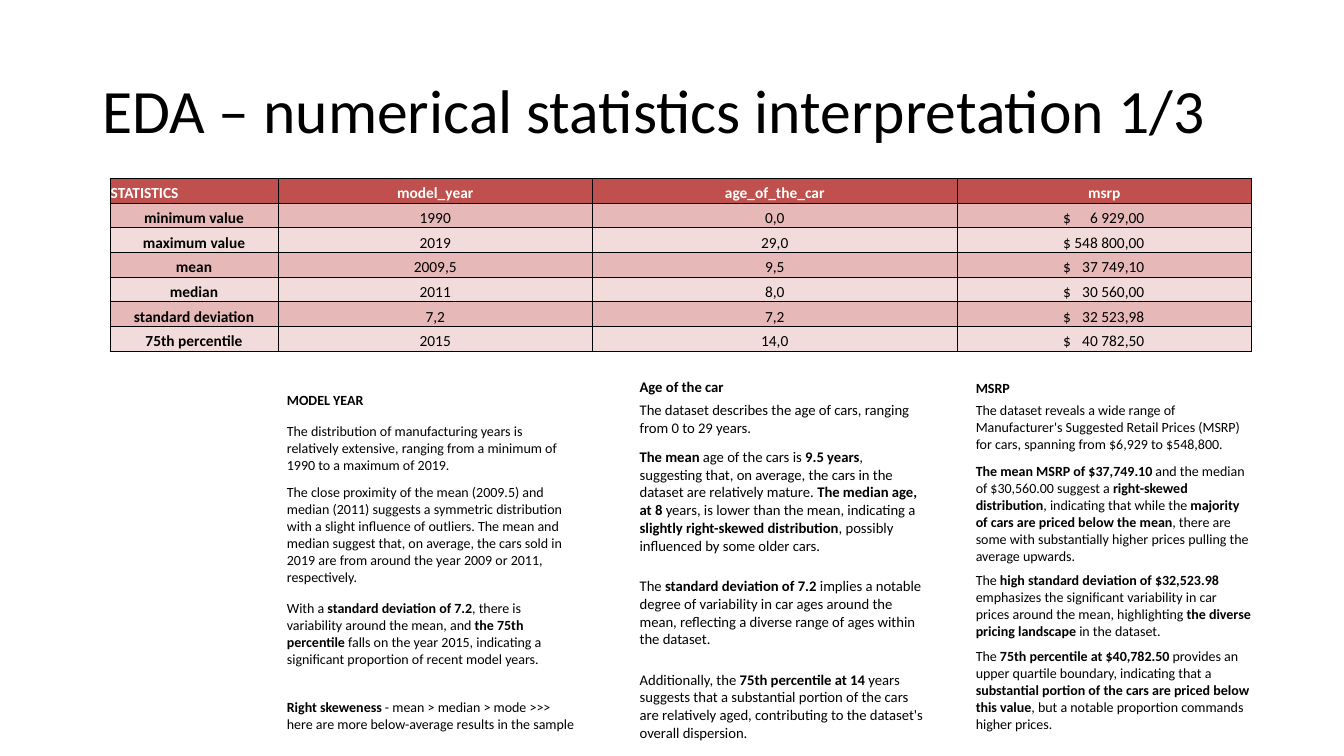
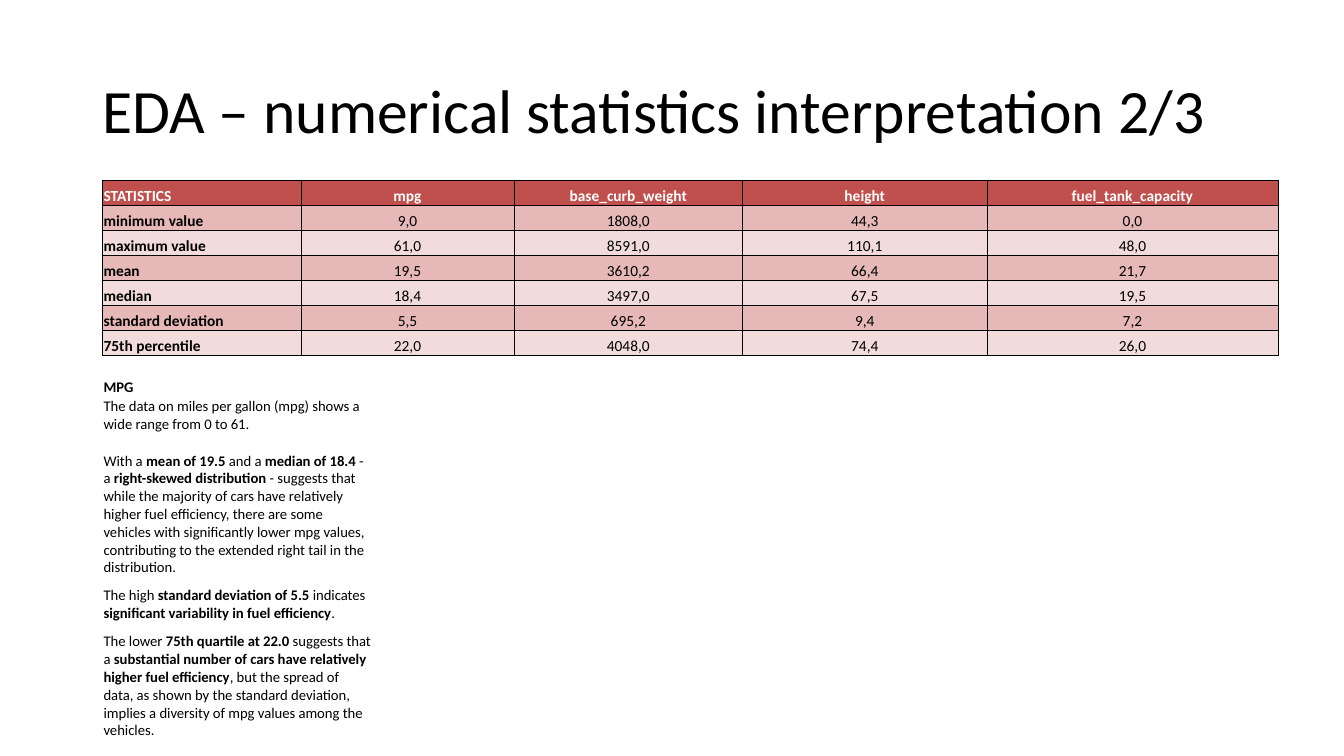
from dataclasses import dataclass

from lxml.etree import SubElement
from pptx import Presentation
from pptx.dml.color import RGBColor
from pptx.enum.text import MSO_ANCHOR, PP_ALIGN
from pptx.oxml.ns import qn
from pptx.slide import Slide
from pptx.table import Table, _Cell
from pptx.text.text import _Paragraph
from pptx.util import Cm, Pt

FONT = "Calibri"
BLACK, WHITE = "000000", "FFFFFF"
HEADER_FILL = "C0504D"
BAND_FILLS = ("F2DCDB", "E6B8B7")
PLAIN_TABLE_STYLE = "{2D5ABB26-0587-4C30-8999-92F81FD0307C}"
LABELS = ("minimum value", "maximum value", "mean", "median",
          "standard deviation", "75th percentile")
CELL_INSET = 0.02
CURRENCY_INSET, CURRENCY_WIDTH = 2.67, 2.05


@dataclass(frozen=True)
class Statistics:
    left: float
    top: float
    row_height: float
    label_align: PP_ALIGN
    label_width: float
    widths: tuple[float, ...]
    columns: dict[str, tuple[str, ...]]


@dataclass(frozen=True)
class Commentary:
    left: float
    top: float
    width: float
    size: float
    row_heights: tuple[float, ...]
    texts: tuple[str, ...]
    inset: float = CELL_INSET


@dataclass(frozen=True)
class Page:
    title: str
    statistics: Statistics
    commentaries: tuple[Commentary, ...]


PAGES = (
    Page(
        "EDA – numerical statistics interpretation 1/3",
        Statistics(
            2.77, 4.5, 0.62, PP_ALIGN.CENTER, 4.24, (7.92, 9.19, 7.42),
            {
                "model_year": ("1990", "2019", "2009,5", "2011", "7,2", "2015"),
                "age_of_the_car": ("0,0", "29,0", "9,5", "8,0", "7,2", "14,0"),
                "msrp": ("$ 6 929,00", "$ 548 800,00", "$ 37 749,10",
                         "$ 30 560,00", "$ 32 523,98", "$ 40 782,50"),
            },
        ),
        (
            Commentary(
                7.21, 9.73, 7.32, 10, (0.58, 1.63, 2.84, 2.06, 1.63),
                (
                    "**MODEL YEAR**",
                    "The distribution of manufacturing years is relatively extensive, "
                    "ranging from a minimum of 1990 to a maximum of 2019.",
                    "The close proximity of the mean (2009.5) and median (2011) suggests "
                    "a symmetric distribution with a slight influence of outliers. The "
                    "mean and median suggest that, on average, the cars sold in 2019 are "
                    "from around the year 2009 or 2011, respectively.",
                    "With a **standard deviation of 7.2**, there is variability around "
                    "the mean, and **the 75th percentile** falls on the year 2015, "
                    "indicating a significant proportion of recent model years.",
                    "**Right skeweness** - mean > median > mode >>> here are more "
                    "below-average results in the sample",
                ),
            ),
            Commentary(
                16.1, 9.47, 7.32, 10.5, (0.51, 1.04, 2.97, 2.36, 2.36),
                (
                    "**Age of the car**",
                    "The dataset describes the age of cars, ranging from 0 to 29 years.",
                    "**The mean** age of the cars is **9.5 years**, suggesting that, on "
                    "average, the cars in the dataset are relatively mature.** The median "
                    "age, at 8** years, is lower than the mean, indicating a **slightly "
                    "right-skewed distribution**, possibly influenced by some older cars.",
                    "The **standard deviation of 7.2** implies a notable degree of "
                    "variability in car ages around the mean, reflecting a diverse range "
                    "of ages within the dataset.",
                    "Additionally, the **75th percentile at 14** years suggests that a "
                    "substantial portion of the cars are relatively aged, contributing "
                    "to the dataset's overall dispersion.",
                ),
            ),
            Commentary(
                24.59, 9.53, 6.96, 10, (0.48, 1.42, 2.82, 1.88, 2.34),
                (
                    "**MSRP**",
                    "The dataset reveals a wide range of Manufacturer's Suggested Retail "
                    "Prices (MSRP) for cars, spanning from $6,929 to $548,800.",
                    "**The mean MSRP of $37,749.10 **and the median of $30,560.00 suggest "
                    "a **right-skewed distribution**, indicating that while the "
                    "**majority of cars are priced below the mean**, there are some with "
                    "substantially higher prices pulling the average upwards.",
                    "The **high standard deviation of $32,523.98** emphasizes the "
                    "significant variability in car prices around the mean, highlighting "
                    "**the diverse pricing landscape** in the dataset.",
                    "The **75th percentile at $40,782.50** provides an upper quartile "
                    "boundary, indicating that a **substantial portion of the cars are "
                    "priced below this value**, but a notable proportion commands higher "
                    "prices.",
                ),
                inset=0,
            ),
        ),
    ),
    Page(
        "EDA – numerical statistics interpretation 2/3",
        Statistics(
            2.59, 4.55, 0.63, PP_ALIGN.LEFT, 5.0, (5.36, 5.77, 6.15, 7.34),
            {
                "mpg": ("9,0", "61,0", "19,5", "18,4", "5,5", "22,0"),
                "base_curb_weight": ("1808,0", "8591,0", "3610,2", "3497,0",
                                     "695,2", "4048,0"),
                "height": ("44,3", "110,1", "66,4", "67,5", "9,4", "74,4"),
                "fuel_tank_capacity": ("0,0", "48,0", "21,7", "19,5", "7,2", "26,0"),
            },
        ),
        (
            Commentary(
                2.59, 9.53, 6.81, 10.5, (0.45, 0.91, 3.63, 1.14, 2.97),
                (
                    "**MPG**",
                    "The data on miles per gallon (mpg) shows a wide range from 0 to 61.",
                    "With a** mean of 19.5** and a **median of 18.4** - a **right-skewed "
                    "distribution** - suggests that while the majority of cars have "
                    "relatively higher fuel efficiency, there are some vehicles with "
                    "significantly lower mpg values, contributing to the extended right "
                    "tail in the distribution.",
                    "The high **standard deviation of 5.5** indicates **significant "
                    "variability in fuel efficiency**.",
                    "The lower **75th quartile at 22.0** suggests that a **substantial "
                    "number of cars have relatively higher fuel efficiency**, but the "
                    "spread of data, as shown by the standard deviation, implies a "
                    "diversity of mpg values among the vehicles.",
                ),
            ),
        ),
    ),
)


def color(value: str) -> RGBColor:
    return RGBColor.from_string(value)


def add_run(paragraph: _Paragraph, text: str, size: float,
            text_color: str = BLACK, bold: bool = False) -> None:
    run = paragraph.add_run()
    run.text = text
    run.font.name = FONT
    run.font.size = Pt(size)
    run.font.bold = bold
    run.font.color.rgb = color(text_color)


def add_title(slide: Slide, text: str) -> None:
    frame = slide.shapes.add_textbox(Cm(2.33), Cm(1.02), Cm(29.21), Cm(3.68)).text_frame
    frame.word_wrap = True
    frame.vertical_anchor = MSO_ANCHOR.MIDDLE
    paragraph = frame.paragraphs[0]
    paragraph.line_spacing = 0.9
    add_run(paragraph, text, 44)


def add_plain_table(slide: Slide, left: float, top: float,
                    widths: tuple[float, ...], heights: tuple[float, ...]) -> Table:
    table = slide.shapes.add_table(len(heights), len(widths), Cm(left), Cm(top),
                                   Cm(sum(widths)), Cm(sum(heights))).table
    table.first_row = table.horz_banding = False
    table._tbl.tblPr.find(qn("a:tableStyleId")).text = PLAIN_TABLE_STYLE
    for column, width in zip(table.columns, widths):
        column.width = Cm(width)
    for row, height in zip(table.rows, heights):
        row.height = Cm(height)
    return table


def style_cell(cell: _Cell, fill: str, inset: float = CELL_INSET) -> None:
    cell.margin_left = cell.margin_right = cell.margin_top = Cm(inset)
    cell.margin_bottom = 0
    cell.vertical_anchor = MSO_ANCHOR.BOTTOM
    cell.fill.solid()
    cell.fill.fore_color.rgb = color(fill)


def add_borders(cell: _Cell) -> None:
    properties = cell._tc.get_or_add_tcPr()
    for side in ("lnL", "lnR", "lnT", "lnB"):
        line = SubElement(properties, qn(f"a:{side}"), w=str(Pt(0.5)))
        SubElement(SubElement(line, qn("a:solidFill")), qn("a:srgbClr"), val=BLACK)


def align_currency(cell: _Cell, text: str) -> str:
    """Set a right tab for the amount and return the text with the tab in it."""
    cell.margin_left = Cm(CURRENCY_INSET)
    paragraph = cell.text_frame.paragraphs[0]
    paragraph.alignment = PP_ALIGN.LEFT
    tabs = SubElement(paragraph._p.get_or_add_pPr(), qn("a:tabLst"))
    SubElement(tabs, qn("a:tab"), pos=str(Cm(CURRENCY_WIDTH)), algn="r")
    return text.replace(" ", "\t", 1)


def add_statistics(slide: Slide, statistics: Statistics) -> None:
    rows = [("STATISTICS", *statistics.columns),
            *zip(LABELS, *statistics.columns.values())]
    table = add_plain_table(slide, statistics.left, statistics.top,
                            (statistics.label_width, *statistics.widths),
                            (statistics.row_height,) * len(rows))
    for row_index, row in enumerate(rows):
        is_header = row_index == 0
        for column_index, text in enumerate(row):
            is_label = column_index == 0
            cell = table.cell(row_index, column_index)
            add_borders(cell)
            style_cell(cell, HEADER_FILL if is_header else BAND_FILLS[row_index % 2])
            paragraph = cell.text_frame.paragraphs[0]
            if is_label:
                paragraph.alignment = PP_ALIGN.LEFT if is_header else statistics.label_align
            else:
                paragraph.alignment = PP_ALIGN.CENTER
            if text.startswith("$"):
                text = align_currency(cell, text)
            add_run(paragraph, text, 11, WHITE if is_header else BLACK,
                    is_header or is_label)


def add_commentary(slide: Slide, commentary: Commentary) -> None:
    table = add_plain_table(slide, commentary.left, commentary.top,
                            (commentary.width,), commentary.row_heights)
    for row_index, text in enumerate(commentary.texts):
        cell = table.cell(row_index, 0)
        style_cell(cell, WHITE, commentary.inset)
        for part_index, part in enumerate(text.split("**")):
            if part:
                add_run(cell.text_frame.paragraphs[0], part, commentary.size,
                        bold=part_index % 2 == 1)


def main() -> None:
    presentation = Presentation()
    presentation.slide_width = Cm(33.87)
    presentation.slide_height = Cm(19.05)
    for page in PAGES:
        slide = presentation.slides.add_slide(presentation.slide_layouts[6])
        add_title(slide, page.title)
        add_statistics(slide, page.statistics)
        for commentary in page.commentaries:
            add_commentary(slide, commentary)
    presentation.save("out.pptx")


if __name__ == "__main__":
    main()
